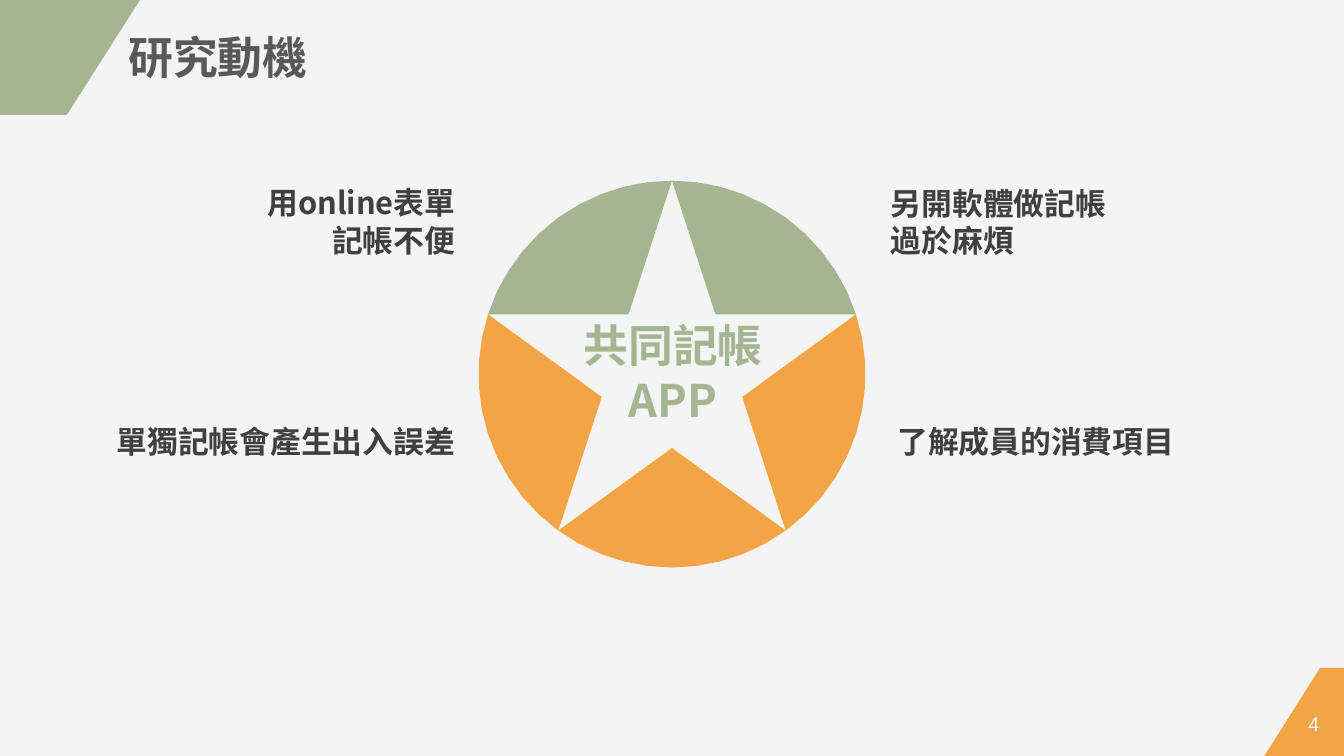
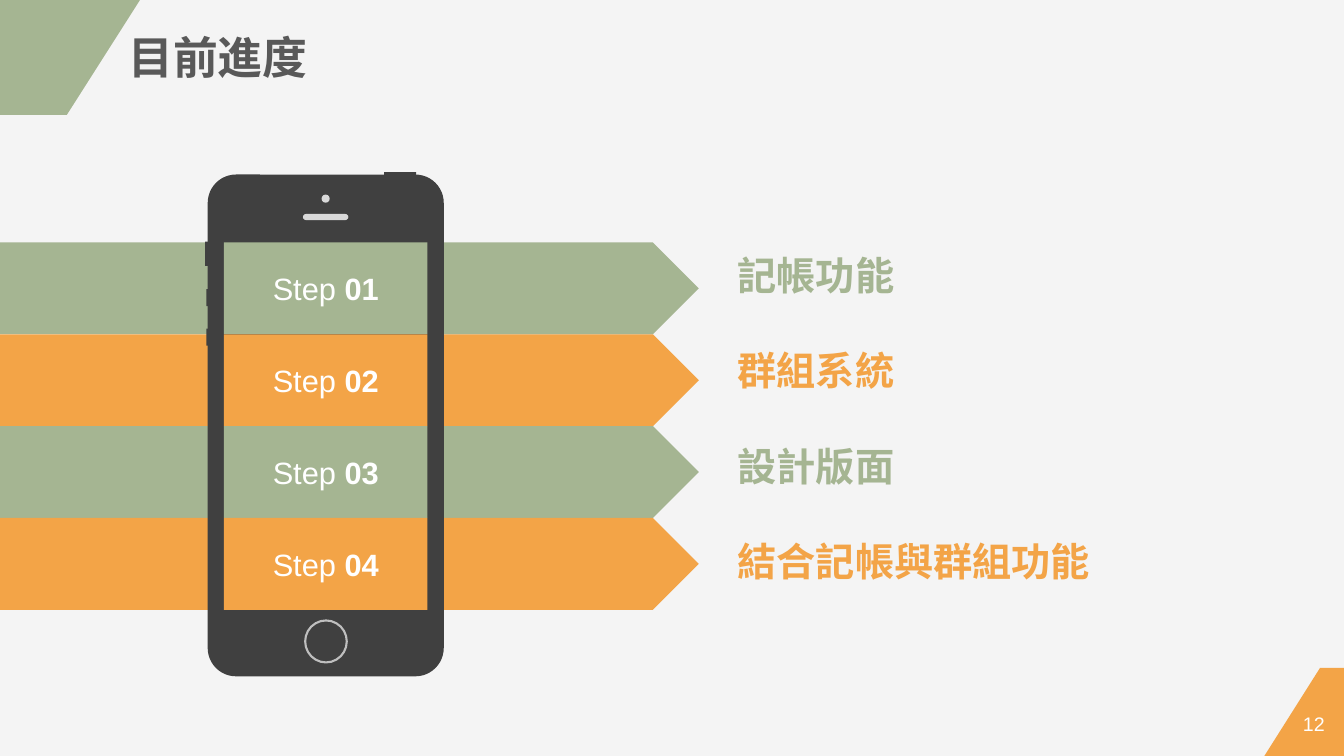
from math import cos, pi, sin

from lxml import etree
from pptx import Presentation
from pptx.dml.color import RGBColor
from pptx.enum.shapes import MSO_SHAPE as Shape
from pptx.enum.text import MSO_ANCHOR as Anchor, MSO_AUTO_SIZE as AutoSize, PP_ALIGN as Align
from pptx.oxml.ns import qn
from pptx.util import Pt

COLORS = {
    "background": "F4F4F4",
    "green": "A5B592",
    "orange": "F3A447",
    "title": "595959",
    "dark": "404040",
    "light": "D9D9D9",
    "ring": "BFBFBF",
    "white": "FFFFFF",
}
CJK_FONT = "Noto Sans CJK SC"
LATIN_FONT = "Arial"
LINE_HEIGHT = 1.21


def color(name):
    """Return the named colour."""
    return RGBColor.from_string(COLORS[name])


def write(frame, text, size=22, ink="dark", font=CJK_FONT, bold=True,
          align=Align.LEFT, anchor=Anchor.TOP, wrap=True, bold_tail=""):
    """Fill a text frame with one paragraph per line of text."""
    frame.word_wrap = wrap
    frame.auto_size = AutoSize.NONE
    frame.vertical_anchor = anchor
    for index, line in enumerate(text.split("\n")):
        paragraph = frame.add_paragraph() if index else frame.paragraphs[0]
        paragraph.alignment = align
        if font == CJK_FONT:
            paragraph.line_spacing = Pt(size * LINE_HEIGHT)
        for words, weight in ((line, bold), (bold_tail, True)):
            if not words:
                continue
            run = paragraph.add_run()
            run.text = words
            run.font.size = Pt(size)
            run.font.bold = weight
            run.font.color.rgb = color(ink)
            run.font.name = font
            etree.SubElement(run._r.get_or_add_rPr(), qn("a:ea"), typeface=font)


class Deck:
    """Holds the shared style and the current slide."""

    def __init__(self):
        """Start an empty widescreen presentation."""
        self.presentation = Presentation()
        self.presentation.slide_width = Pt(960)
        self.presentation.slide_height = Pt(540)
        self.slide = None

    def add_slide(self, title, number):
        """Add a slide with its background, corners, title and page number."""
        layout = self.presentation.slide_layouts[5]
        self.slide = self.presentation.slides.add_slide(layout)
        self.shape(Shape.RECTANGLE, 0, 0, 960, 540, "background")
        self.polygon([(943, 477), (960, 477), (960, 541), (902.5, 541)], "orange")
        self.text(str(number), 920.5, 505, 36, 22.5, size=14, ink="white",
                  font=LATIN_FONT, bold=False, align=Align.CENTER)
        self.polygon([(0, 0), (100, 0), (47.8, 82), (0, 82)], "green")
        placeholder = self.slide.shapes.title
        self.slide.shapes._spTree.append(placeholder._element)
        placeholder.left, placeholder.top = Pt(84.5), Pt(17.2)
        placeholder.width, placeholder.height = Pt(144), Pt(46)
        write(placeholder.text_frame, title, size=32, ink="title", wrap=False)

    def paint(self, shape, fill, line=None, weight=0.75):
        """Give a shape its fill and line, without a shadow."""
        shape.shadow.inherit = False
        if fill:
            shape.fill.solid()
            shape.fill.fore_color.rgb = color(fill)
        else:
            shape.fill.background()
        if line:
            shape.line.color.rgb = color(line)
            shape.line.width = Pt(weight)
        else:
            shape.line.fill.background()
        return shape

    def shape(self, kind, left, top, width, height, fill, **line):
        """Add a preset shape."""
        shape = self.slide.shapes.add_shape(kind, Pt(left), Pt(top), Pt(width), Pt(height))
        return self.paint(shape, fill, **line)

    def polygon(self, points, fill):
        """Add a closed outline through the points."""
        start, *others = [(Pt(x), Pt(y)) for x, y in points]
        builder = self.slide.shapes.build_freeform(*start)
        builder.add_line_segments(others, close=True)
        return self.paint(builder.convert_to_shape(), fill)

    def text(self, text, left, top, width, height, **style):
        """Add a text box."""
        box = self.slide.shapes.add_textbox(Pt(left), Pt(top), Pt(width), Pt(height))
        write(box.text_frame, text, **style)

    def star_wheel(self, center_x, center_y, radius, fills):
        """Add the five pieces that a star leaves of a disc, clockwise from the top."""
        steps = 10
        inner_radius = radius * (3 - 5 ** 0.5) / 2

        def point(distance, turn):
            angle = 2 * pi * turn
            return center_x + distance * sin(angle), center_y - distance * cos(angle)

        for index, fill in enumerate(fills):
            arc = [point(radius, (index + step / steps) / 5) for step in range(steps + 1)]
            self.polygon(arc + [point(inner_radius, (index + 0.5) / 5)], fill)

    def phone(self):
        """Add the phone body with its buttons, screen, camera, speaker and home ring."""
        body = self.shape(Shape.ROUNDED_RECTANGLE, 148.4, 124.7, 168.6, 358.4, "dark")
        body.adjustments[0] = 0.12
        for part in ((146.6, 172.6, 2.2, 17.3), (147.5, 206.6, 2.2, 12.2),
                     (147.5, 234.8, 2.2, 12.2), (160, 173, 145.4, 262.8),
                     (274.3, 123, 23, 4.3)):
            self.shape(Shape.RECTANGLE, *part, "dark")
        self.shape(Shape.OVAL, 218, 443.2, 29.7, 30, None, line="ring", weight=1.5)
        speaker = self.shape(Shape.ROUNDED_RECTANGLE, 216.8, 153.2, 31.7, 3.6,
                             "light", line="light")
        speaker.adjustments[0] = 0.5
        self.shape(Shape.OVAL, 229.7, 139, 5.8, 5.8, "light")


def build_motivation(deck):
    """Build the slide with the star wheel and its four reasons."""
    deck.add_slide("研究動機", 4)
    deck.star_wheel(480, 267.2, 138.2, ["green", "orange", "orange", "orange", "green"])
    reasons = [
        ("用online表單\n記帳不便", 113.8, 127.8, 218.5, 60.5, Align.RIGHT),
        ("另開軟體做記帳\n過於麻煩", 629.3, 127.8, 206.6, 87, Align.LEFT),
        ("單獨記帳會產生出入誤差", 67, 297.8, 265, 34, Align.RIGHT),
        ("了解成員的消費項目", 629.3, 297.8, 221, 34, Align.CENTER),
    ]
    for words, left, top, width, height, align in reasons:
        deck.text(words, left, top, width, height, align=align)
    deck.text("共同記帳\nAPP", 404.4, 223.3, 153, 85, size=32, ink="green",
              align=Align.CENTER)


def build_progress(deck):
    """Build the slide with the phone and its four steps."""
    deck.add_slide("目前進度", 12)
    band_top, band_height = 173.2, 65.6
    label_top, label_pitch = 176, 67.9
    labels = ["記帳功能", "群組系統", "設計版面", "結合記帳與群組功能"]
    rows = [(band_top + index * band_height, ("green", "orange")[index % 2])
            for index in range(len(labels))]
    for kind, left, width in ((Shape.RECTANGLE, 0, 316.8), (Shape.PENTAGON, 316.2, 183)):
        for top, fill in rows:
            deck.shape(kind, left, top, width, band_height, fill)
    deck.phone()
    for number, (top, fill) in enumerate(rows, 1):
        step = deck.shape(Shape.RECTANGLE, 160, top, 145.4, band_height, fill)
        write(step.text_frame, "Step ", ink="white", font=LATIN_FONT, bold=False,
              align=Align.CENTER, anchor=Anchor.MIDDLE, bold_tail=f"{number:02}")
    for index, (label, (_, fill)) in enumerate(zip(labels, rows)):
        deck.text(label, 519.8, label_top + index * label_pitch,
                  296 if len(label) > 4 else 206.6, 41, size=28, ink=fill)


def main():
    """Build and save the presentation."""
    deck = Deck()
    build_motivation(deck)
    build_progress(deck)
    deck.presentation.save("out.pptx")


if __name__ == "__main__":
    main()
